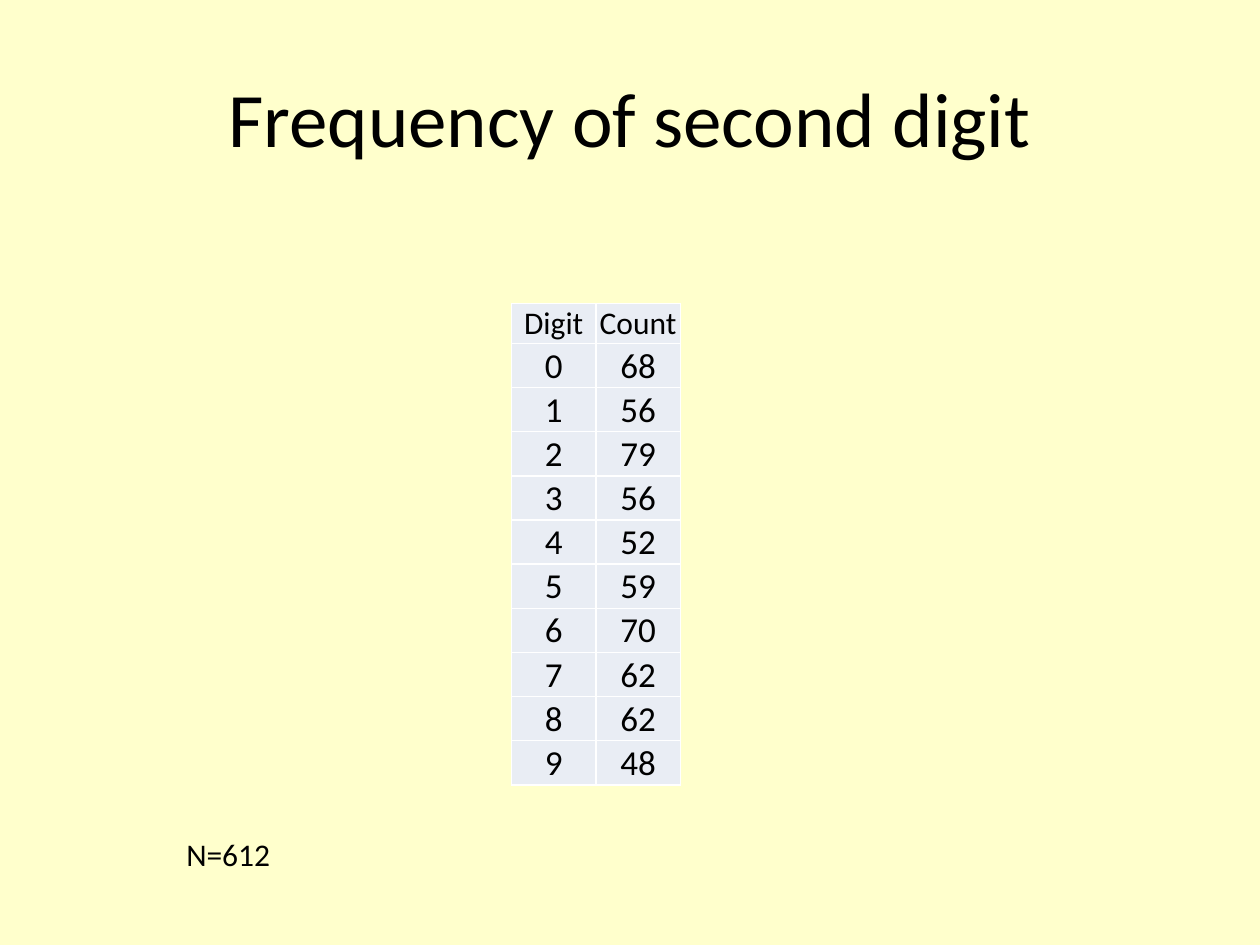
from typing import NamedTuple

from pptx import Presentation
from pptx.dml.color import RGBColor
from pptx.enum.text import MSO_ANCHOR, MSO_AUTO_SIZE, PP_ALIGN
from pptx.util import Inches, Pt

BACKGROUND = RGBColor(0xFF, 0xFF, 0xCC)
CELL_FILL = RGBColor(0xE9, 0xED, 0xF4)
BLACK = RGBColor(0x00, 0x00, 0x00)
FONT = "Calibri"
TITLE_ONLY_LAYOUT = 5

COLUMN_WIDTH = Inches(0.67)


class TableRow(NamedTuple):
    texts: tuple[str, str]
    size: int
    height: float


DIGIT_COUNTS = (68, 56, 79, 56, 52, 59, 70, 62, 62, 48)
TABLE_ROWS = [TableRow(("Digit", "Count"), 18, 0.31)] + [
    TableRow((str(digit), str(count)), 20, 0.35)
    for digit, count in enumerate(DIGIT_COUNTS)
]


def write_text(text_frame, text: str, size: int, alignment: PP_ALIGN) -> None:
    paragraph = text_frame.paragraphs[0]
    paragraph.alignment = alignment
    run = paragraph.add_run()
    run.text = text
    run.font.name = FONT
    run.font.size = Pt(size)
    run.font.color.rgb = BLACK


def add_title(slide, text: str) -> None:
    title = slide.shapes.title
    title.left, title.top = Inches(0.5), Inches(0.3)
    title.width, title.height = Inches(9), Inches(1.25)
    title.text_frame.vertical_anchor = MSO_ANCHOR.MIDDLE
    write_text(title.text_frame, text, 44, PP_ALIGN.CENTER)


def fill_cell(cell, text: str, size: int) -> None:
    cell.fill.solid()
    cell.fill.fore_color.rgb = CELL_FILL
    cell.vertical_anchor = MSO_ANCHOR.BOTTOM
    cell.margin_left = cell.margin_right = cell.margin_top = Inches(0.01)
    cell.margin_bottom = 0
    write_text(cell.text_frame, text, size, PP_ALIGN.CENTER)


def add_frequency_table(slide, rows: list[TableRow]) -> None:
    column_count = len(rows[0].texts)
    height = Inches(sum(row.height for row in rows))
    table = slide.shapes.add_table(
        len(rows), column_count, Inches(4.06), Inches(2.41),
        COLUMN_WIDTH * column_count, height,
    ).table
    table.first_row = False
    table.horz_banding = False
    for column in table.columns:
        column.width = COLUMN_WIDTH
    for table_row, row in zip(table.rows, rows):
        table_row.height = Inches(row.height)
        for cell, text in zip(table_row.cells, row.texts):
            fill_cell(cell, text, row.size)


def add_sample_size(slide, total: int) -> None:
    box = slide.shapes.add_textbox(
        Inches(1.38), Inches(6.58), Inches(0.88), Inches(0.4)
    )
    box.text_frame.word_wrap = False
    box.text_frame.auto_size = MSO_AUTO_SIZE.SHAPE_TO_FIT_TEXT
    write_text(box.text_frame, f"N={total}", 18, PP_ALIGN.LEFT)


def main() -> None:
    presentation = Presentation()
    presentation.slide_width = Inches(10)
    presentation.slide_height = Inches(7.5)
    layout = presentation.slide_layouts[TITLE_ONLY_LAYOUT]
    slide = presentation.slides.add_slide(layout)
    slide.background.fill.solid()
    slide.background.fill.fore_color.rgb = BACKGROUND

    add_title(slide, "Frequency of second digit")
    add_frequency_table(slide, TABLE_ROWS)
    add_sample_size(slide, sum(DIGIT_COUNTS))

    presentation.save("out.pptx")


if __name__ == "__main__":
    main()
